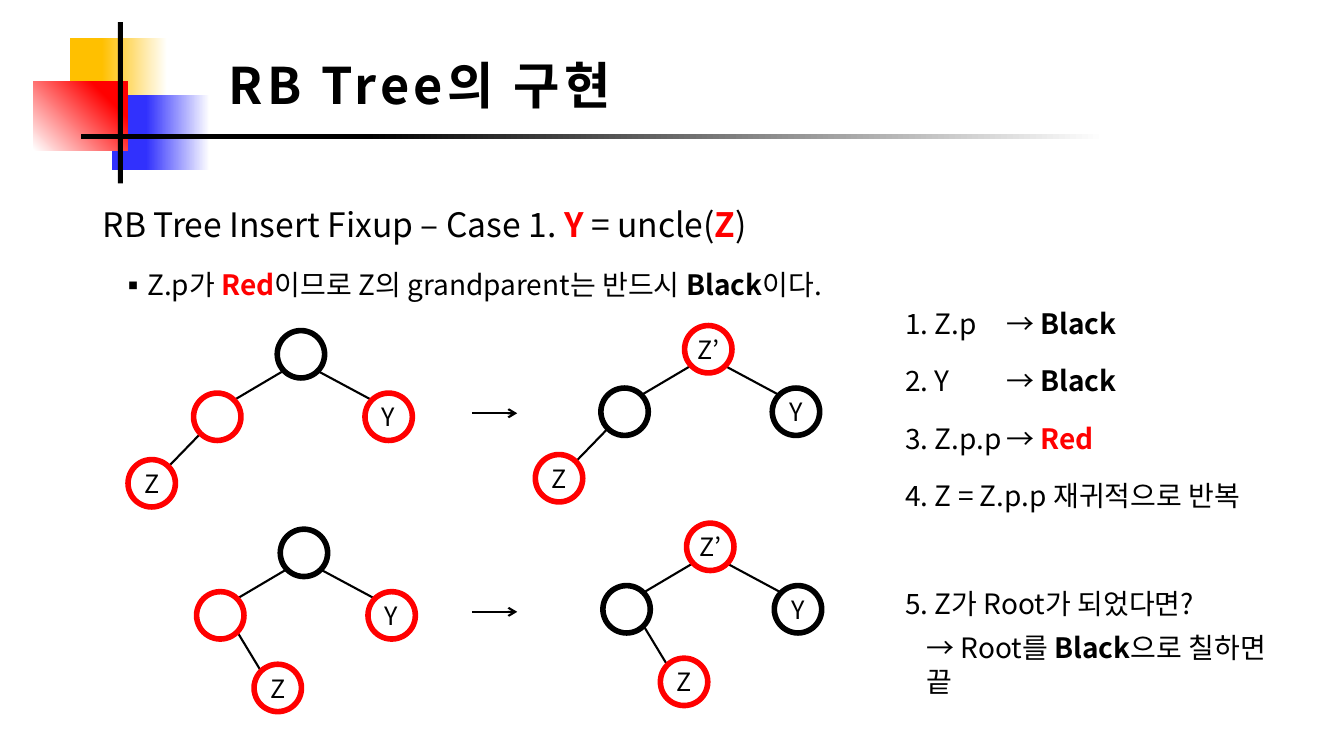
from lxml import etree
from pptx import Presentation
from pptx import util as u
from pptx.dml.color import RGBColor
from pptx.enum import shapes, text
from pptx.oxml.ns import qn


class Theme:
    font = "Noto Sans CJK KR"
    black, red, white = "000000", "FF0000", "FFFFFF"
    yellow, blue = "FFC000", "3131FD"
    title, heading, body, node = 36, 24, 20, 18
    edge, ring = 1.5, 4


# Content: a run is (text, colour, bold)
def plain(words):
    return (words, Theme.black, False)


def strong(words, color=Theme.black):
    return (words, color, True)


TITLE = "RB Tree의 구현"
HEADING = [plain("RB Tree Insert Fixup – Case 1. "), strong("Y", Theme.red),
           plain(" = uncle("), strong("Z", Theme.red), plain(")")]
REASON = [plain("Z.p가 "), strong("Red", Theme.red),
          plain("이므로 Z의 grandparent는 반드시 "), strong("Black"), plain("이다.")]
STEPS = [
    [plain("1. Z.p\t→ "), strong("Black")],
    [plain("2. Y\t→ "), strong("Black")],
    [plain("3. Z.p.p\t→ "), strong("Red", Theme.red)],
    [plain("4. Z = Z.p.p 재귀적으로 반복")],
]
ROOT_CASE = [plain("5. Z가 Root가 되었다면?")]
ROOT_ACTION = [plain("→ Root를 "), strong("Black"), plain("으로 칠하면 끝")]
STEP_TAB = 1

# Trees: root position, side of Z under its parent, recoloured or not
TREES = [(2.75, 3.28, "left", False), (6.79, 3.23, "left", True),
         (2.78, 5.25, "right", False), (6.81, 5.19, "right", True)]
NODE = 0.47
PARENT, UNCLE = (-0.83, 0.62), (0.87, 0.62)
Z_NODE = {"left": (-1.48, 1.28), "right": (-0.26, 1.34)}
ROOT_EDGES = [(0.06, 0.4, -0.43, 0.69), (0.4, 0.4, 0.94, 0.69)]
Z_EDGE = {"left": (-0.76, 1.02, -1.08, 1.35), "right": (-0.42, 1.03, -0.19, 1.41)}
ARROWS_Y = [4.1, 6.07]

# Corner ornament: box, colour, where the fade ends, fade angle (None = solid)
ORNAMENT = [
    ((0.69, 0.38, 0.97, 0.95), Theme.yellow, 0.67, 180),
    ((1.11, 0.94, 0.97, 0.75), Theme.blue, 0.65, 180),
    ((0.33, 0.81, 0.94, 0.68), Theme.red, 0.78, 45),
    ((1.17, 0.22, 0.05, 1.6), Theme.black, None, None),
    ((0.8, 1.33, 10.16, 0.05), Theme.black, 0.72, 180),
]


def rgb(color):
    return RGBColor.from_string(color)


def inches(*values):
    return [u.Inches(v) for v in values]


def add_runs(p, runs, size):
    for words, color, bold in runs:
        r = p.add_run()
        r.text = words
        r.font.size, r.font.bold = u.Pt(size), bold
        r.font.name = Theme.font
        r.font.color.rgb = rgb(color)
        ea = etree.SubElement(r.font._element, qn("a:ea"))
        ea.set("typeface", Theme.font)


def place(sp, box):
    sp.left, sp.top, sp.width, sp.height = inches(*box)
    tf = sp.text_frame
    tf.word_wrap, tf.auto_size = True, text.MSO_AUTO_SIZE.NONE
    return tf


def set_bullet(p, char=None, margin=0, indent=0):
    pPr = p._p.get_or_add_pPr()
    pPr.set("marL", str(u.Inches(margin)))
    pPr.set("indent", str(u.Inches(indent)))
    if char:
        etree.SubElement(pPr, qn("a:buFont")).set("typeface", Theme.font)
        etree.SubElement(pPr, qn("a:buChar")).set("char", char)
    else:
        etree.SubElement(pPr, qn("a:buNone"))


def set_tab(p, position):
    tabs = etree.SubElement(p._p.get_or_add_pPr(), qn("a:tabLst"))
    tab = etree.SubElement(tabs, qn("a:tab"))
    tab.set("pos", str(u.Inches(position)))
    tab.set("algn", "l")


def add_text(s, box, runs, tab=None):
    tf = place(s.shapes.add_textbox(*inches(*box)), box)
    p = tf.paragraphs[0]
    if tab:
        set_tab(p, tab)
    add_runs(p, runs, Theme.body)


def add_line(s, x1, y1, x2, y2, arrow=False):
    cn = s.shapes.add_connector(shapes.MSO_CONNECTOR.STRAIGHT, *inches(x1, y1, x2, y2))
    cn.line.color.rgb, cn.line.width = rgb(Theme.black), u.Pt(Theme.edge)
    if arrow:
        etree.SubElement(cn.line._get_or_add_ln(), qn("a:tailEnd")).set("type", "arrow")
    etree.SubElement(cn._element.spPr, qn("a:effectLst"))


def add_node(s, x, y, color, label=""):
    sp = s.shapes.add_shape(shapes.MSO_SHAPE.OVAL, *inches(x, y, NODE, NODE))
    sp.shadow.inherit = False
    sp.fill.solid()
    sp.fill.fore_color.rgb = rgb(Theme.white)
    sp.line.color.rgb, sp.line.width = rgb(color), u.Pt(Theme.ring)
    if label:
        tf = sp.text_frame
        tf.word_wrap = False
        tf.margin_left = tf.margin_right = tf.margin_top = tf.margin_bottom = 0
        tf.vertical_anchor = text.MSO_ANCHOR.MIDDLE
        tf.paragraphs[0].alignment = text.PP_ALIGN.CENTER
        add_runs(tf.paragraphs[0], [plain(label)], Theme.node)


def add_tree(s, x, y, side, recoloured):
    top, middle = (Theme.red, Theme.black) if recoloured else (Theme.black, Theme.red)
    for x1, y1, x2, y2 in ROOT_EDGES + [Z_EDGE[side]]:
        add_line(s, x + x1, y + y1, x + x2, y + y2)
    nodes = [((0, 0), top, "Z’" if recoloured else ""), (PARENT, middle, ""),
             (UNCLE, middle, "Y"), (Z_NODE[side], Theme.red, "Z")]
    for (dx, dy), color, label in nodes:
        add_node(s, x + dx, y + dy, color, label)


def add_ornament(s):
    for box, color, fade_end, angle in ORNAMENT:
        sp = s.shapes.add_shape(shapes.MSO_SHAPE.RECTANGLE, *inches(*box))
        sp.shadow.inherit = False
        sp.line.fill.background()
        if fade_end is None:
            sp.fill.solid()
            sp.fill.fore_color.rgb = rgb(color)
            continue
        sp.fill.gradient()
        sp.fill.gradient_angle = angle
        start, end = sp.fill.gradient_stops
        start.color.rgb, start.position = rgb(Theme.white), 0
        end.color.rgb, end.position = rgb(color), fade_end


def main():
    prs = Presentation()
    prs.slide_width, prs.slide_height = inches(13.33, 7.5)
    s = prs.slides.add_slide(prs.slide_layouts[1])

    # Title and corner ornament
    tf = place(s.shapes.title, (2.17, 0.48, 7.32, 0.71))
    tf.vertical_anchor = text.MSO_ANCHOR.MIDDLE
    p = tf.paragraphs[0]
    p.alignment = text.PP_ALIGN.LEFT
    add_runs(p, [strong(TITLE)], Theme.title)
    p.runs[0].font._element.set("spc", "300")
    add_ornament(s)

    # Heading and its bullet
    tf = place(s.placeholders[1], (0.92, 1.97, 11.1, 1.07))
    for i, (runs, size) in enumerate([(HEADING, Theme.heading), (REASON, Theme.body)]):
        p = tf.add_paragraph() if i else tf.paragraphs[0]
        p.space_before = u.Pt(17 * i)
        set_bullet(p, *(("▪", 0.44, -0.28) if i else ()))
        add_runs(p, runs, size)

    # Trees before and after recolouring
    for tree in TREES:
        add_tree(s, *tree)
    for y in ARROWS_Y:
        add_line(s, 4.68, y, 5.13, y, arrow=True)

    # Steps
    for i, step in enumerate(STEPS):
        add_text(s, (8.88, 2.99 + 0.57 * i, 3.64, 0.44), step, STEP_TAB)
    add_text(s, (8.88, 5.77, 3.64, 0.44), ROOT_CASE)
    add_text(s, (9.09, 6.21, 3.88, 0.44), ROOT_ACTION)

    prs.save("out.pptx")


if __name__ == "__main__":
    main()
